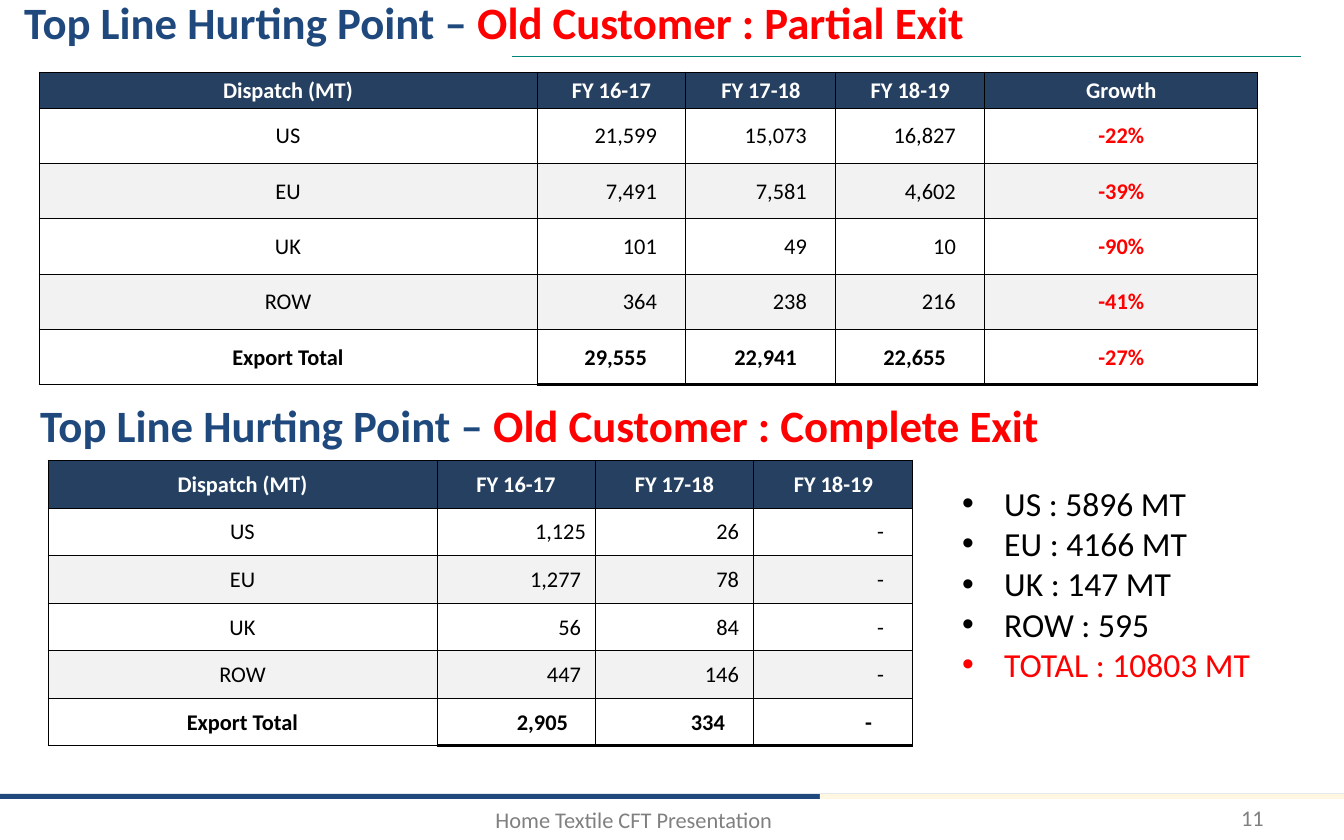
from lxml.etree import SubElement
from pptx import Presentation
from pptx.dml.color import RGBColor
from pptx.enum.shapes import MSO_CONNECTOR, MSO_SHAPE
from pptx.enum.text import MSO_ANCHOR, PP_ALIGN
from pptx.oxml.ns import qn
from pptx.util import Pt

PX = 914400 / 134.4
COLORS = {
    "navy": "1F497D", "header": "254061", "cream": "FFF7E1", "teal": "008576",
    "red": "FF0000", "black": "000000", "white": "FFFFFF", "gray": "808080",
    "band": "F2F2F2",
}


def px(*values):
    return [round(value * PX) for value in values]


def add_span(para, text, size, color, bold=False):
    span = para.add_run()
    span.text = text
    for name, value in {"name": "Calibri", "size": Pt(size), "bold": bold}.items():
        setattr(span.font, name, value)
    span.font.color.rgb = RGBColor.from_string(COLORS[color])


deck = Presentation()
deck.slide_width, deck.slide_height = px(1344, 840)
page = deck.slides.add_slide(deck.slide_layouts[6])

# Footer bars
for left, width, color in [(0, 1344, "navy"), (820, 524, "cream")]:
    bar = page.shapes.add_shape(MSO_SHAPE.RECTANGLE, *px(left, 794, width, 5))
    bar.shadow.inherit = False
    bar.fill.solid()
    bar.fill.fore_color.rgb = RGBColor.from_string(COLORS[color])
    bar.line.fill.background()

# Titles, footer text and page number
TITLE = ("Top Line Hurting Point – ", 24, "navy", True)
texts = [
    ((169, 800, 930, 36), PP_ALIGN.CENTER, MSO_ANCHOR.TOP,
     [("Home Textile CFT Presentation", 12, "gray")]),
    ((964, 801, 313, 34), PP_ALIGN.RIGHT, MSO_ANCHOR.MIDDLE, [("11", 12, "gray")]),
    ((11, -12, 1250, 69), PP_ALIGN.LEFT, MSO_ANCHOR.TOP,
     [TITLE, ("Old Customer : Partial Exit", 24, "red", True)]),
    ((27, 391, 1250, 85), PP_ALIGN.LEFT, MSO_ANCHOR.TOP,
     [TITLE, ("Old Customer : Complete Exit", 24, "red", True)]),
]
for place, align, anchor, spans in texts:
    frame = page.shapes.add_textbox(*px(*place)).text_frame
    frame.word_wrap = True
    frame.vertical_anchor = anchor
    frame.paragraphs[0].alignment = align
    for span in spans:
        add_span(frame.paragraphs[0], *span)

# Rule under the first title
rule = page.shapes.add_connector(MSO_CONNECTOR.STRAIGHT, *px(512, 56, 1301, 56))
rule.line.color.rgb = RGBColor.from_string(COLORS["teal"])
rule.line.width = Pt(0.5)
SubElement(rule._element.spPr, qn("a:effectLst"))

# Dispatch tables: place, header height, column widths, rows,
# and the right margins of the figures in body and total rows
YEARS = ["Dispatch (MT)", "FY 16-17", "FY 17-18", "FY 18-19"]
tables = [
    ((39, 72, 1219, 313), 36, [498, 149, 150, 149, 273], [
        YEARS + ["Growth"],
        ["US", "21,599", "15,073", "16,827", "-22%"],
        ["EU", "7,491", "7,581", "4,602", "-39%"],
        ["UK", "101", "49", "10", "-90%"],
        ["ROW", "364", "238", "216", "-41%"],
        ["Export Total", "29,555", "22,941", "22,655", "-27%"],
    ], [29, 29, 29], [39, 39, 39]),
    ((48, 460, 865, 286), 48, [389, 158, 159, 159], [
        YEARS,
        ["US", "1,125", "26", "-"],
        ["EU", "1,277", "78", "-"],
        ["UK", "56", "84", "-"],
        ["ROW", "447", "146", "-"],
        ["Export Total", "2,905", "334", "-"],
    ], [14, 15, 29], [27, 29, 41]),
]
for place, header_height, widths, rows, body_margins, total_margins in tables:
    last = len(rows) - 1
    table = page.shapes.add_table(len(rows), len(widths), *px(*place)).table
    table.first_row = table.horz_banding = False
    for column, width in zip(table.columns, px(*widths)):
        column.width = width
    body_height = (place[3] - header_height) / last
    for r, values in enumerate(rows):
        table.rows[r].height = px(body_height if r else header_height)[0]
        for c, text in enumerate(values):
            cell = table.cell(r, c)
            is_figure = r > 0 and 1 <= c <= 3
            is_growth = r > 0 and c == 4
            right = 1
            if is_figure:
                right = (total_margins if r == last else body_margins)[c - 1]
            if text == "1,125":
                right = 9
            cell.margin_left, cell.margin_right, cell.margin_top = px(1, right, 1)
            cell.margin_bottom = 0
            cell.vertical_anchor = MSO_ANCHOR.MIDDLE
            para = cell.text_frame.paragraphs[0]
            para.alignment = PP_ALIGN.RIGHT if is_figure else PP_ALIGN.CENTER
            color = "white" if r == 0 else "red" if is_growth else "black"
            add_span(para, text, 12, color, r in (0, last) or is_growth)

            # Thin grid, with a heavy line below the totals
            for side in ("L", "R", "T", "B"):
                heavy = side == "B" and r == last and c > 0
                border = SubElement(cell._tc.get_or_add_tcPr(), qn(f"a:ln{side}"),
                                    w=str(Pt(2 if heavy else 0.5)))
                SubElement(SubElement(border, qn("a:solidFill")),
                           qn("a:srgbClr"), val=COLORS["black"])
            if r == 0 or r in (2, 4):
                cell.fill.solid()
                cell.fill.fore_color.rgb = RGBColor.from_string(
                    COLORS["band" if r else "header"])
            else:
                cell.fill.background()

# Lost volume list
frame = page.shapes.add_textbox(*px(949, 476, 328, 258)).text_frame
frame.word_wrap = True
items = ["US : 5896 MT", "EU : 4166 MT", "UK : 147 MT", "ROW : 595",
         "TOTAL : 10803 MT"]
indent = px(42)[0]
for i, item in enumerate(items):
    para = frame.add_paragraph() if i else frame.paragraphs[0]
    properties = para._p.get_or_add_pPr()
    properties.set("marL", str(indent))
    properties.set("indent", str(-indent))
    SubElement(properties, qn("a:buFont"), typeface="Arial")
    SubElement(properties, qn("a:buChar"), char="•")
    add_span(para, item, 18, "red" if item.startswith("TOTAL") else "black")

deck.save("out.pptx")
